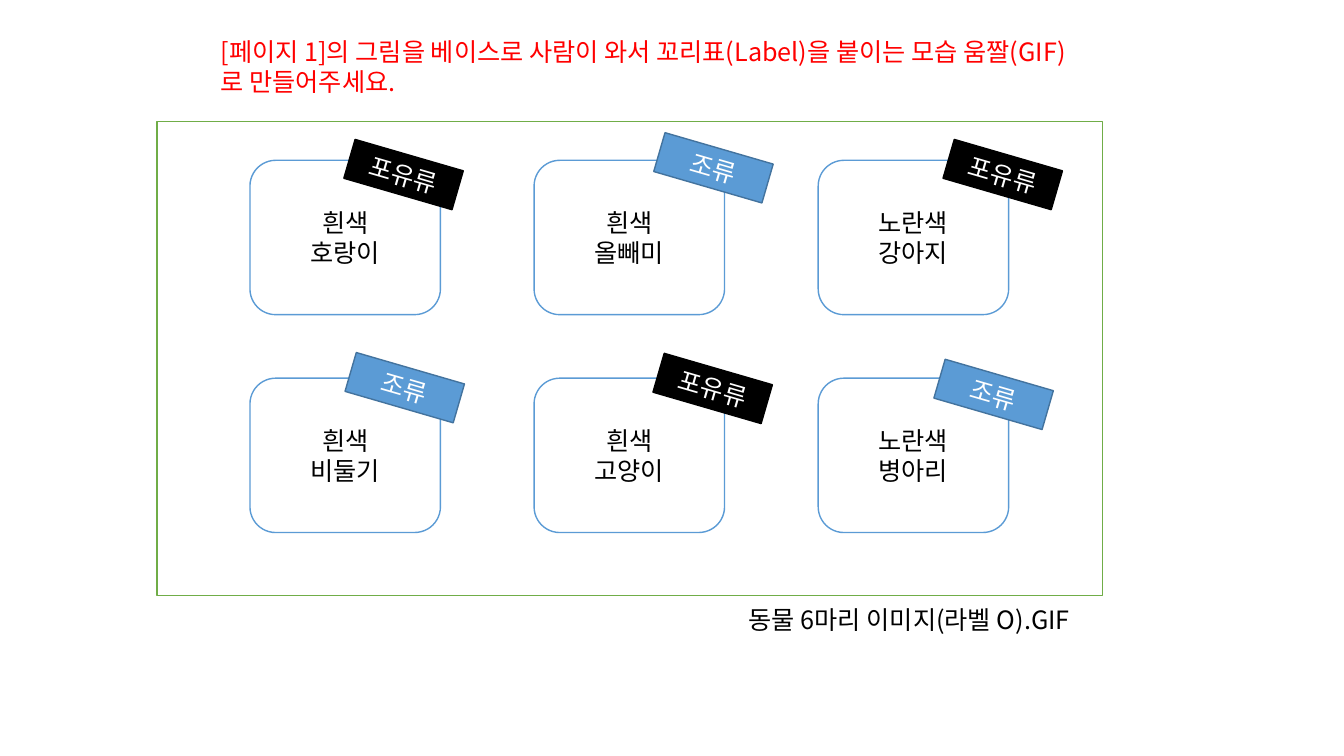
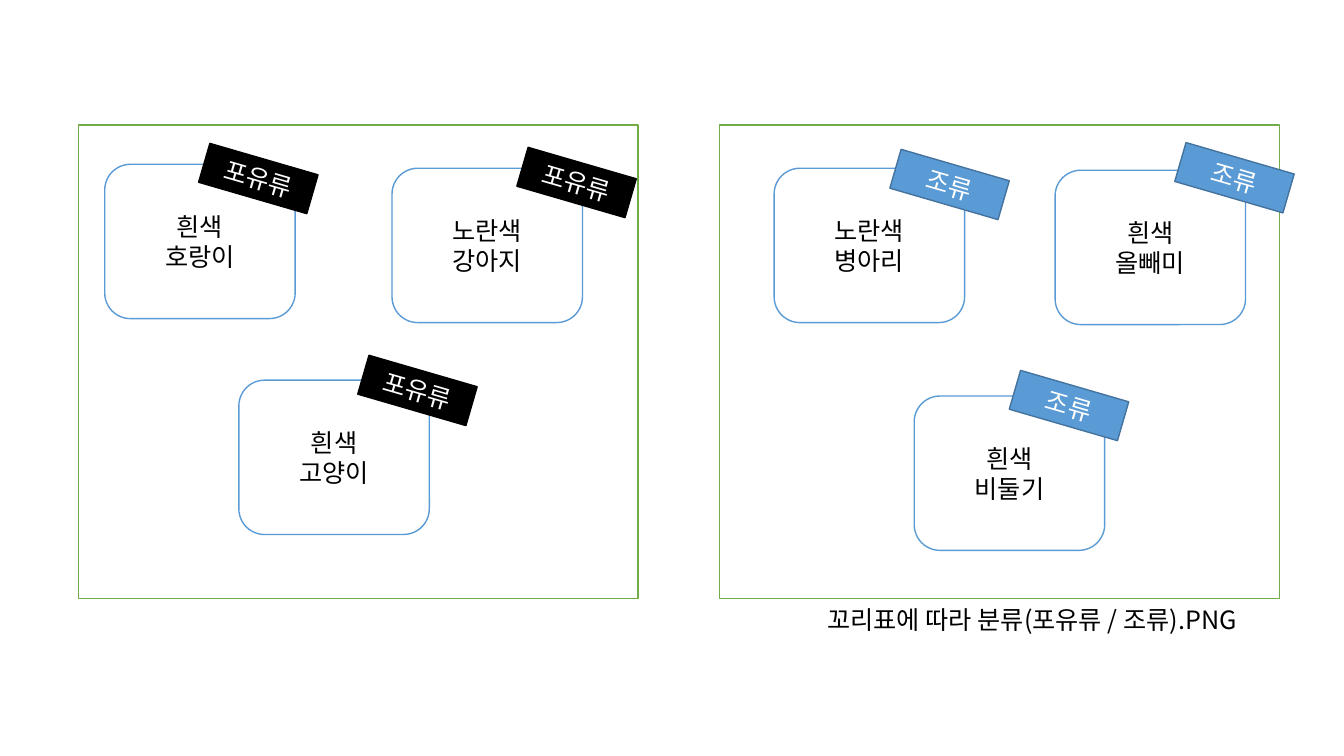
from dataclasses import dataclass
from typing import NamedTuple

from lxml.etree import SubElement
from pptx import Presentation
from pptx.dml.color import RGBColor
from pptx.enum.shapes import MSO_SHAPE
from pptx.enum.text import MSO_ANCHOR, MSO_AUTO_SIZE, PP_ALIGN
from pptx.oxml.ns import qn
from pptx.util import Cm, Pt


@dataclass(frozen=True)
class Theme:
    """Colours, font, type size and line width of the deck."""
    white: str = "FFFFFF"
    black: str = "000000"
    red: str = "FF0000"
    green: str = "70AD47"
    blue: str = "5B9BD5"
    navy: str = "43739E"
    font: str = "Noto Sans CJK KR"
    size: int = 18
    line: int = 1


class Pet(NamedTuple):
    """An animal, its class and where its tag sits on the card."""
    hue: str
    name: str
    kind: str
    dx: float
    dy: float


THEME = Theme()
KINDS = {"포유류": (THEME.black, THEME.black), "조류": (THEME.blue, THEME.navy)}
TIGER = Pet("흰색", "호랑이", "포유류", 2.45, -0.15)
OWL = Pet("흰색", "올빼미", "조류", 3.1, -0.32)
DOG = Pet("노란색", "강아지", "포유류", 3.23, -0.15)
DOVE = Pet("흰색", "비둘기", "조류", 2.48, -0.27)
CAT = Pet("흰색", "고양이", "포유류", 3.08, -0.25)
CHICK = Pet("노란색", "병아리", "조류", 3, -0.1)

CARD = (4.8, 3.89)
TAG = (2.84, 1.02)
TILT = 16.2
GRID = [[TIGER, OWL, DOG], [DOVE, CAT, CHICK]]
GROUPS = [
    (1.98, [(TIGER, 0.66, 4.14), (DOG, 7.9, 4.24), (CAT, 4.04, 9.58)]),
    (18.14, [(CHICK, 1.37, 4.24), (OWL, 8.45, 4.29), (DOVE, 4.9, 9.98)]),
]


def write(frame, text, color=THEME.black, align=PP_ALIGN.LEFT,
          anchor=MSO_ANCHOR.TOP):
    """Fill a text frame, one paragraph per line of text."""
    frame.word_wrap = True
    frame.vertical_anchor = anchor
    frame.text = text
    for para in frame.paragraphs:
        para.alignment = align
        for run in para.runs:
            font = run.font
            font.size = Pt(THEME.size)
            font.color.rgb = RGBColor.from_string(color)
            font.name = THEME.font
            SubElement(run._r.get_or_add_rPr(), qn("a:ea"),
                       typeface=THEME.font)


def box(slide, form, x, y, size, fill, line):
    """Draw a filled, outlined shape."""
    shape = slide.shapes.add_shape(form, Cm(x), Cm(y), *map(Cm, size))
    shape.shadow.inherit = False
    shape.fill.solid()
    shape.fill.fore_color.rgb = RGBColor.from_string(fill)
    shape.line.color.rgb = RGBColor.from_string(line)
    shape.line.width = Pt(THEME.line)
    return shape


def panel(slide, x, y, width):
    """Draw the green frame behind a set of cards."""
    box(slide, MSO_SHAPE.RECTANGLE, x, y, (width, 11.94),
        THEME.white, THEME.green)


def card(slide, pet, x, y):
    """Draw an animal card with its tilted class tag."""
    middle = {"align": PP_ALIGN.CENTER, "anchor": MSO_ANCHOR.MIDDLE}
    body = box(slide, MSO_SHAPE.ROUNDED_RECTANGLE, x, y, CARD,
               THEME.white, THEME.blue)
    write(body.text_frame, f"{pet.hue}\n{pet.name}", **middle)
    tag = box(slide, MSO_SHAPE.RECTANGLE, x + pet.dx, y + pet.dy, TAG,
              *KINDS[pet.kind])
    tag.rotation = TILT
    write(tag.text_frame, pet.kind, color=THEME.white, **middle)


def label(slide, text, x, y, size, **style):
    """Place free text on the slide."""
    area = slide.shapes.add_textbox(Cm(x), Cm(y), *map(Cm, size))
    write(area.text_frame, text, **style)
    area.text_frame.auto_size = MSO_AUTO_SIZE.SHAPE_TO_FIT_TEXT


def caption(slide, text, x):
    """Name the image file below the frame."""
    label(slide, text, x, 15.11, (13.2, 1.02))


def tagged(slide):
    """Build the grid of six tagged animals."""
    panel(slide, 3.96, 3.07, 23.83)
    for row, pets in enumerate(GRID):
        for col, pet in enumerate(pets):
            card(slide, pet, 6.3 + 7.16 * col, 4.04 + 5.49 * row)
    label(slide, "[페이지 1]의 그림을 베이스로 사람이 와서 꼬리표(Label)을 "
          "붙이는 모습 움짤(GIF)로 만들어주세요.",
          5.31, 0.79, (22.28, 1.8), color=THEME.red)
    caption(slide, "동물 6마리 이미지(라벨 O).GIF", 18.62)


def sorted_pets(slide):
    """Build the two groups sorted by class."""
    for left, pets in GROUPS:
        panel(slide, left, 3.15, 14.1)
        for pet, dx, y in pets:
            card(slide, pet, left + dx, y)
    caption(slide, "꼬리표에 따라 분류(포유류 / 조류).PNG", 20.6)


def main():
    """Build and save the deck."""
    deck = Presentation()
    deck.slide_width, deck.slide_height = Cm(33.87), Cm(19.05)
    blank = deck.slide_layouts.get_by_name("Blank")
    for build in (tagged, sorted_pets):
        build(deck.slides.add_slide(blank))
    deck.save("out.pptx")


main()
